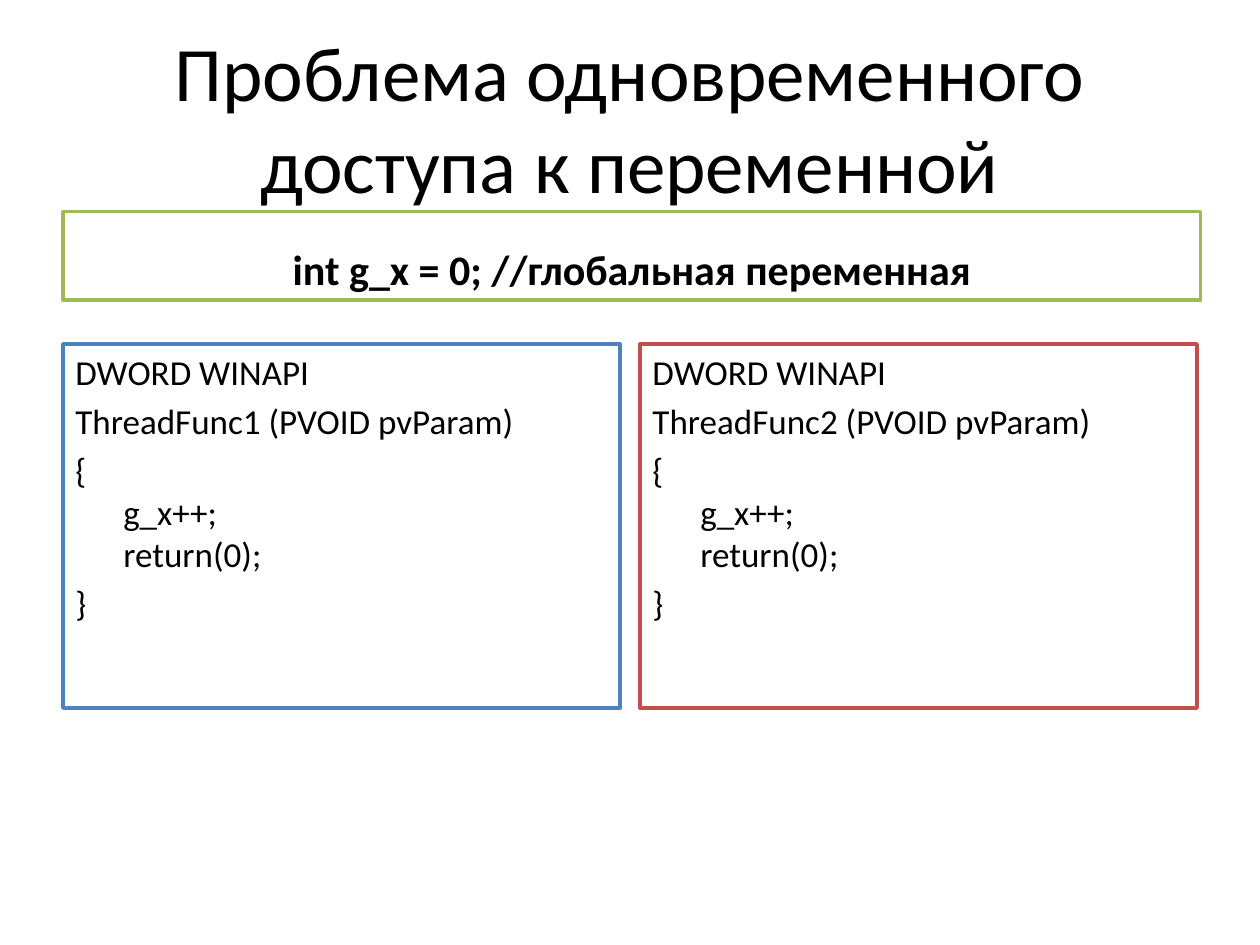
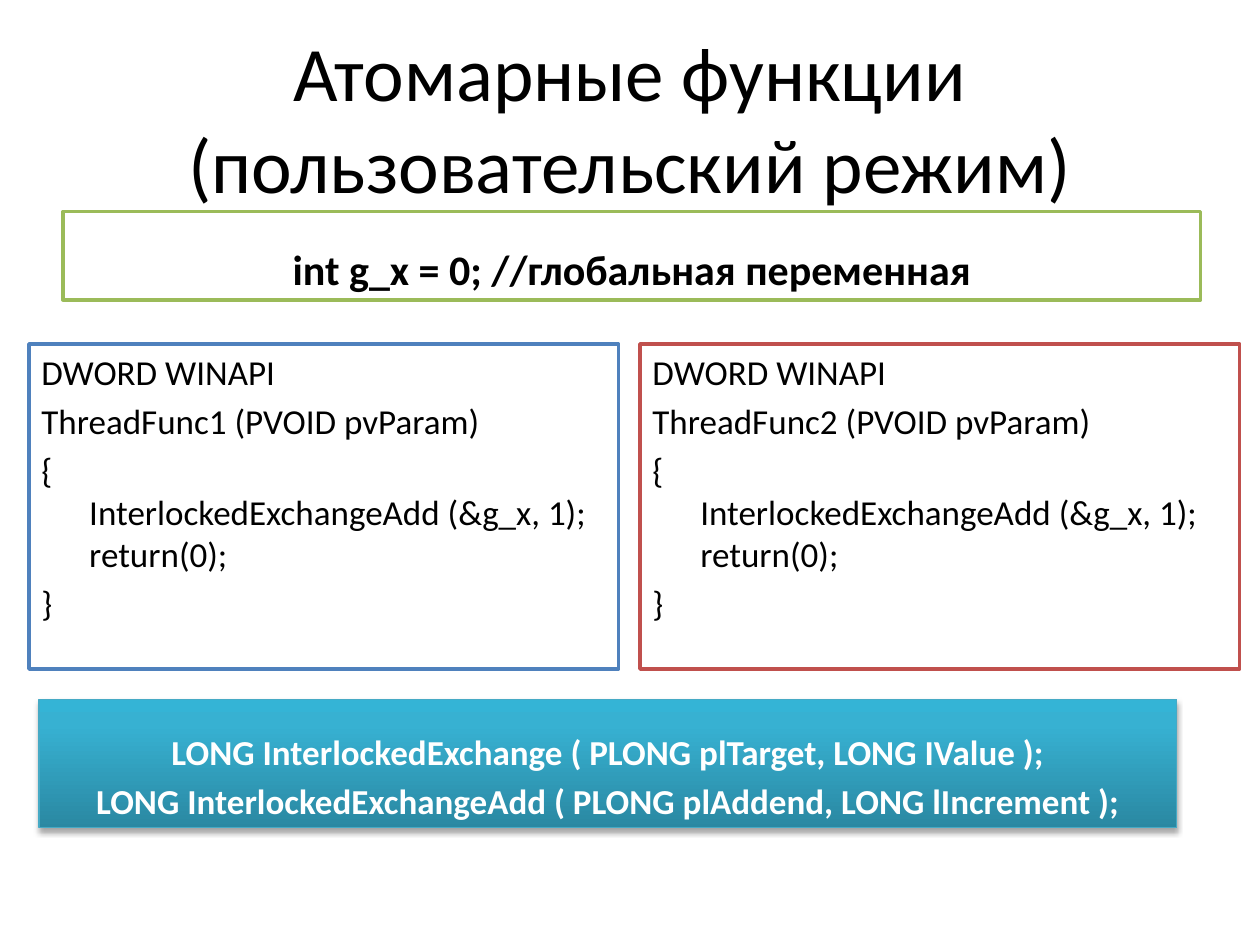
import copy
from dataclasses import dataclass

import pptx
import pptx.dml.color
import pptx.enum.shapes
import pptx.enum.text
import pptx.oxml
import pptx.oxml.ns
import pptx.util

Inches, Pt = pptx.util.Inches, pptx.util.Pt
Rgb = pptx.dml.color.RGBColor.from_string
Align, Anchor = pptx.enum.text.PP_ALIGN, pptx.enum.text.MSO_ANCHOR


@dataclass(frozen=True)
class Theme:
    font: str = "Calibri"
    ink: str = "000000"
    paper: str = "FFFFFF"
    variable_line: str = "9BBB59"
    thread_lines: tuple = ("4F81BD", "C0504D")
    signature_line: str = "46AAC5"
    signature_stops: tuple = ((0, "2A88A2"), (0.8, "37B1D2"), (1, "34B4D6"))
    title_size: int = 44
    variable_size: int = 24
    code_size: int = 20
    space_before: float = 0.2  # share of the type size
    hanging: float = 0.38


THEME = Theme()
TITLE_BOX = (0.5, 0.3, 9, 1.25)
VARIABLE_BOX = (0.5, 1.68, 9.03, 0.7)
THREADS_TOP = 2.73
SHADOW = (
    '<a:outerShdw xmlns:a="http://schemas.openxmlformats.org/drawingml/2006/main" '
    'blurRad="40000" dist="23000" dir="5400000" rotWithShape="0">'
    '<a:srgbClr val="000000"><a:alpha val="35000"/></a:srgbClr></a:outerShdw>'
)


def add_run(paragraph, text, size, color=THEME.ink, bold=False):
    run = paragraph.add_run()
    run.text = text
    run.font.name = THEME.font
    run.font.size = Pt(size)
    run.font.bold = bold
    run.font.color.rgb = Rgb(color)


def write_paragraphs(frame, paragraphs, size, align, hanging=0, **style):
    """Write each string as a paragraph; a newline in it is a line break."""
    for index, text in enumerate(paragraphs):
        paragraph = frame.paragraphs[0] if index == 0 else frame.add_paragraph()
        paragraph.alignment = align
        paragraph.space_before = Pt(size * THEME.space_before)
        if hanging:
            properties = paragraph._p.get_or_add_pPr()
            properties.set("marL", str(Inches(hanging)))
            properties.set("indent", str(-Inches(hanging)))
        for number, line in enumerate(text.split("\n")):
            if number:
                paragraph.add_line_break()
            add_run(paragraph, line, size, **style)


def add_panel(slide, box, line_color, line_width, anchor):
    panel = slide.shapes.add_shape(
        pptx.enum.shapes.MSO_SHAPE.RECTANGLE, *map(Inches, box))
    panel.shadow.inherit = False
    panel.fill.solid()
    panel.fill.fore_color.rgb = Rgb(THEME.paper)
    panel.line.color.rgb = Rgb(line_color)
    panel.line.width = Pt(line_width)
    panel.text_frame.word_wrap = True
    panel.text_frame.vertical_anchor = anchor
    return panel


def set_title(slide, text):
    title = slide.shapes.title
    title.left, title.top, title.width, title.height = map(Inches, TITLE_BOX)
    frame = title.text_frame
    frame.word_wrap = True
    frame.auto_size = pptx.enum.text.MSO_AUTO_SIZE.NONE
    frame.vertical_anchor = Anchor.MIDDLE
    frame.paragraphs[0].alignment = Align.CENTER
    add_run(frame.paragraphs[0], text, THEME.title_size)


def add_global_variable(slide, box):
    panel = add_panel(slide, box, THEME.variable_line, 2, Anchor.BOTTOM)
    write_paragraphs(panel.text_frame, ["int g_x = 0; //глобальная переменная"],
                     THEME.variable_size, Align.CENTER, bold=True)


def add_thread_function(slide, box, number, statement):
    panel = add_panel(slide, box, THEME.thread_lines[number - 1], 2, Anchor.TOP)
    code = ["DWORD WINAPI", f"ThreadFunc{number} (PVOID pvParam)",
            f"{{ \n{statement} \nreturn(0);", "}"]
    write_paragraphs(panel.text_frame, code, THEME.code_size, Align.LEFT,
                     hanging=THEME.hanging)


def add_signatures(slide, box, signatures):
    panel = add_panel(slide, box, THEME.signature_line, 0.75, Anchor.BOTTOM)
    panel.fill.gradient()
    panel.fill.gradient_angle = 90
    properties = panel._element.spPr
    first_stop = properties.find(".//" + pptx.oxml.ns.qn("a:gs"))
    first_stop.addnext(copy.deepcopy(first_stop))
    for stop, (position, color) in zip(panel.fill.gradient_stops, THEME.signature_stops):
        stop.position = position
        stop.color.rgb = Rgb(color)
    effects = properties.find(pptx.oxml.ns.qn("a:effectLst"))
    effects.append(pptx.oxml.parse_xml(SHADOW))
    write_paragraphs(panel.text_frame, signatures, THEME.code_size, Align.CENTER,
                     color=THEME.paper, bold=True)


def add_thread_slide(deck, title, statement, spans, height):
    """Add a slide with two thread functions; spans holds their (left, width)."""
    slide = deck.slides.add_slide(deck.slide_layouts[5])
    set_title(slide, title)
    add_global_variable(slide, VARIABLE_BOX)
    for number, (left, width) in enumerate(spans, 1):
        add_thread_function(slide, (left, THREADS_TOP, width, height), number, statement)
    return slide


def main():
    deck = pptx.Presentation()
    deck.slide_width, deck.slide_height = Inches(10), Inches(7.5)
    add_thread_slide(deck, "Проблема одновременного доступа к переменной",
                     "g_x++;", [(0.5, 4.42), (5.08, 4.42)], 2.89)
    atomic = add_thread_slide(deck, "Атомарные функции (пользовательский режим)",
                              "InterlockedExchangeAdd (&g_x, 1);",
                              [(0.23, 4.68), (5.08, 4.76)], 2.58)
    add_signatures(atomic, (0.31, 5.55, 9.03, 1.02), [
        "LONG InterlockedExchange ( PLONG plTarget, LONG IValue );",
        "LONG InterlockedExchangeAdd ( PLONG plAddend, LONG lIncrement );",
    ])
    deck.save("out.pptx")


if __name__ == "__main__":
    main()
